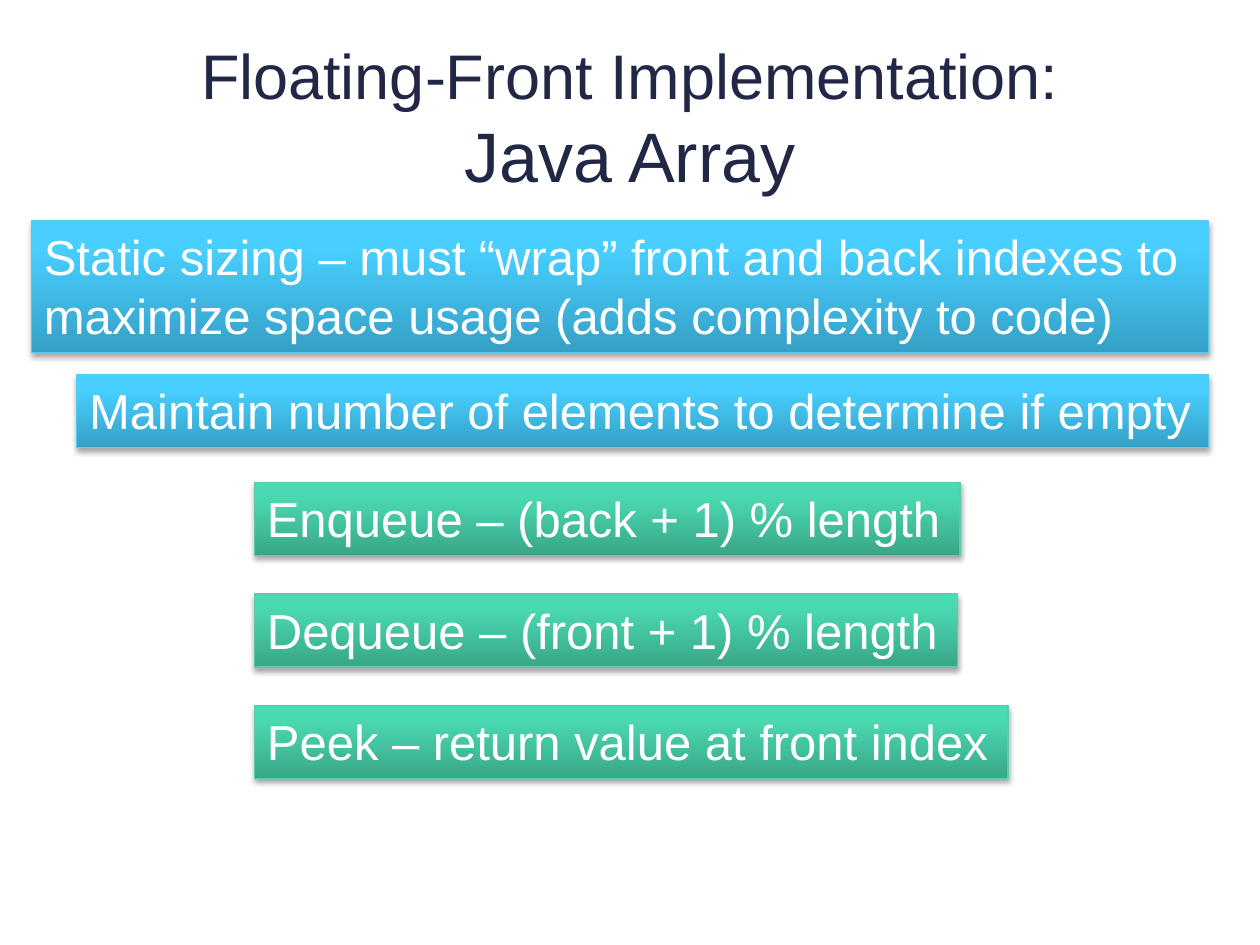
import pptx
import pptx.dml.color
import pptx.enum.shapes
import pptx.enum.text
import pptx.oxml
import pptx.oxml.ns
import pptx.util
from copy import deepcopy

Inches = pptx.util.Inches
Pt = pptx.util.Pt

TITLE = [("Floating-Front Implementation:", 36), ("Java Array", 40)]
BLUE = {"stops": [(0, "35A0C6"), (0.8, "48CFFF"), (1, "49CFFF")], "line": "58C9F1"}
GREEN = {"stops": [(0, "39A688"), (0.8, "4AD8B1"), (1, "47DCB3")], "line": "58CCAC"}
NOTES = [
    ("Static sizing – must “wrap” front and back indexes to maximize space usage (adds complexity to code)",
     0.25, 1.75, 9.34, 1.05, True),
    ("Maintain number of elements to determine if empty", 0.61, 2.97, 8.98, 0.58, False),
]
OPERATIONS = [
    ("Enqueue – (back + 1) % length", 5.6),
    ("Dequeue – (front + 1) % length", 5.58),
    ("Peek – return value at front index", 5.98),
]
OPERATION_LEFT, OPERATION_TOP, OPERATION_STEP, OPERATION_HEIGHT = 2.02, 3.83, 0.885, 0.58
SHADOW = (
    f'<a:outerShdw {pptx.oxml.ns.nsdecls("a")} blurRad="{Pt(3.1)}" dist="{Pt(1.8)}" '
    'dir="5400000" rotWithShape="0"><a:srgbClr val="000000"><a:alpha val="35000"/>'
    '</a:srgbClr></a:outerShdw>'
)


def color(hex_value):
    return pptx.dml.color.RGBColor.from_string(hex_value)


def style(span, size, hex_value):
    span.font.name = "Arial"
    span.font.size = Pt(size)
    span.font.color.rgb = color(hex_value)


def fill_gradient(box, stops):
    box.fill.gradient()
    box.fill.gradient_angle = 90
    stop_list = box.fill._fill._gradFill.gsLst
    stop_list.append(deepcopy(stop_list[-1]))
    for stop, (position, hex_value) in zip(box.fill.gradient_stops, stops):
        stop.position = position
        stop.color.rgb = color(hex_value)


def add_box(page, text, left, top, width, height, wrap, theme):
    box = page.shapes.add_shape(
        pptx.enum.shapes.MSO_SHAPE.RECTANGLE,
        Inches(left), Inches(top), Inches(width), Inches(height))
    fill_gradient(box, theme["stops"])
    box.line.color.rgb = color(theme["line"])
    box.line.width = Pt(0.75)
    box.shadow.inherit = False
    effects = box._element.spPr.find(pptx.oxml.ns.qn("a:effectLst"))
    effects.append(pptx.oxml.parse_xml(SHADOW))
    frame = box.text_frame
    frame.text = text
    frame.word_wrap = wrap
    frame.auto_size = pptx.enum.text.MSO_AUTO_SIZE.SHAPE_TO_FIT_TEXT
    frame.vertical_anchor = pptx.enum.text.MSO_ANCHOR.TOP
    para = frame.paragraphs[0]
    para.alignment = pptx.enum.text.PP_ALIGN.LEFT
    style(para.runs[0], 28, "FFFFFF")


def add_title(page):
    title = page.shapes.title
    title.left, title.top = Inches(0.5), Inches(0.3)
    title.width, title.height = Inches(9), Inches(1.25)
    frame = title.text_frame
    frame.text = "\v".join(text for text, size in TITLE)
    frame.vertical_anchor = pptx.enum.text.MSO_ANCHOR.MIDDLE
    para = frame.paragraphs[0]
    para.alignment = pptx.enum.text.PP_ALIGN.CENTER
    for span, (text, size) in zip(para.runs, TITLE):
        style(span, size, "212745")


def main():
    deck = pptx.Presentation()
    deck.slide_width, deck.slide_height = Inches(10), Inches(7.5)
    page = deck.slides.add_slide(deck.slide_layouts.get_by_name("Title Only"))
    add_title(page)
    for note in NOTES:
        add_box(page, *note, BLUE)
    for index, (text, width) in enumerate(OPERATIONS):
        top = OPERATION_TOP + index * OPERATION_STEP
        add_box(page, text, OPERATION_LEFT, top, width, OPERATION_HEIGHT, True, GREEN)
    deck.save("out.pptx")


if __name__ == "__main__":
    main()
